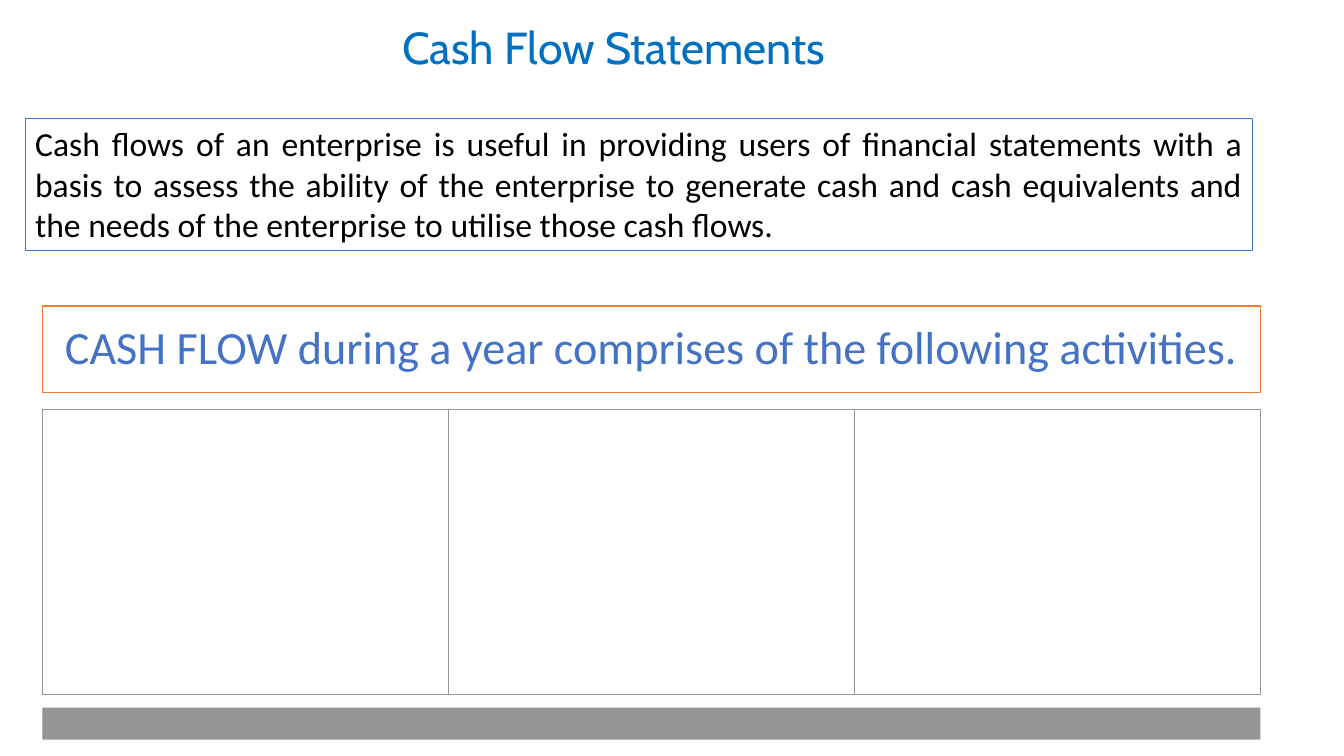
from pptx import Presentation
from pptx.dml.color import RGBColor
from pptx.enum.shapes import MSO_SHAPE
from pptx.enum.text import MSO_ANCHOR, MSO_AUTO_SIZE, PP_ALIGN
from pptx.util import Pt

RECT = MSO_SHAPE.RECTANGLE
TOP, MIDDLE = MSO_ANCHOR.TOP, MSO_ANCHOR.MIDDLE
CENTER, JUSTIFY = PP_ALIGN.CENTER, PP_ALIGN.JUSTIFY
NO_FIT = MSO_AUTO_SIZE.NONE
COLORS = {
    "title": "0070C0",
    "blue": "4472C4",
    "orange": "ED7D31",
    "gray": "969696",
    "white": "FFFFFF",
    "black": "000000",
}


def add_box(left, top, width, height, fill, line=None):
    box = slide.shapes.add_shape(RECT, Pt(left), Pt(top), Pt(width), Pt(height))
    box.shadow.inherit = False
    box.fill.solid()
    box.fill.fore_color.rgb = RGBColor.from_string(COLORS[fill])
    if line:
        box.line.color.rgb = RGBColor.from_string(COLORS[line])
        box.line.width = Pt(1)
    else:
        box.line.fill.background()
    return box


def add_text(shape, text, font, size, color, align, anchor, space=1.0):
    frame = shape.text_frame
    frame.word_wrap = True
    frame.auto_size = NO_FIT
    frame.vertical_anchor = anchor
    para = frame.paragraphs[0]
    para.alignment = align
    para.line_spacing = space
    run = para.add_run()
    run.text = text
    run.font.name = font
    run.font.size = Pt(size)
    run.font.color.rgb = RGBColor.from_string(COLORS[color])


deck = Presentation()
deck.slide_width, deck.slide_height = Pt(960), Pt(540)
slide = deck.slides.add_slide(deck.slide_layouts.get_by_name("Title Only"))

# Title
title = slide.shapes.title
title.left, title.top = Pt(193), Pt(13)
title.width, title.height = Pt(491), Pt(45.5)
add_text(title, "Cash Flow Statements", "Cabin", 32, "title", CENTER, MIDDLE, 0.9)

# Purpose of cash flow information
intro = add_box(18, 84.5, 876.5, 94.5, "white", "blue")
add_text(
    intro,
    "Cash flows of an enterprise is useful in providing users of financial "
    "statements with a basis to assess the ability of the enterprise to generate "
    "cash and cash equivalents and the needs of the enterprise to utilise those "
    "cash flows.",
    "Calibri", 24, "black", JUSTIFY, TOP,
)

# Banner above the activities
LEFT, WIDTH = 30.25, 870
banner = add_box(LEFT, 218.5, WIDTH, 62, "white", "orange")
frame = banner.text_frame
frame.margin_left = frame.margin_right = Pt(10)
frame.margin_top = frame.margin_bottom = Pt(10)
add_text(
    banner, "CASH FLOW during a year comprises of the following activities.",
    "Calibri", 33, "blue", CENTER, MIDDLE, 0.9,
)

# Three activity panels
COUNT = 3
step = WIDTH / COUNT
for i in range(COUNT):
    add_box(LEFT + i * step, 292.5, step, 203.5, "white", "gray")

# Base bar
add_box(LEFT, 505.5, WIDTH, 22.75, "gray")

deck.save("out.pptx")
